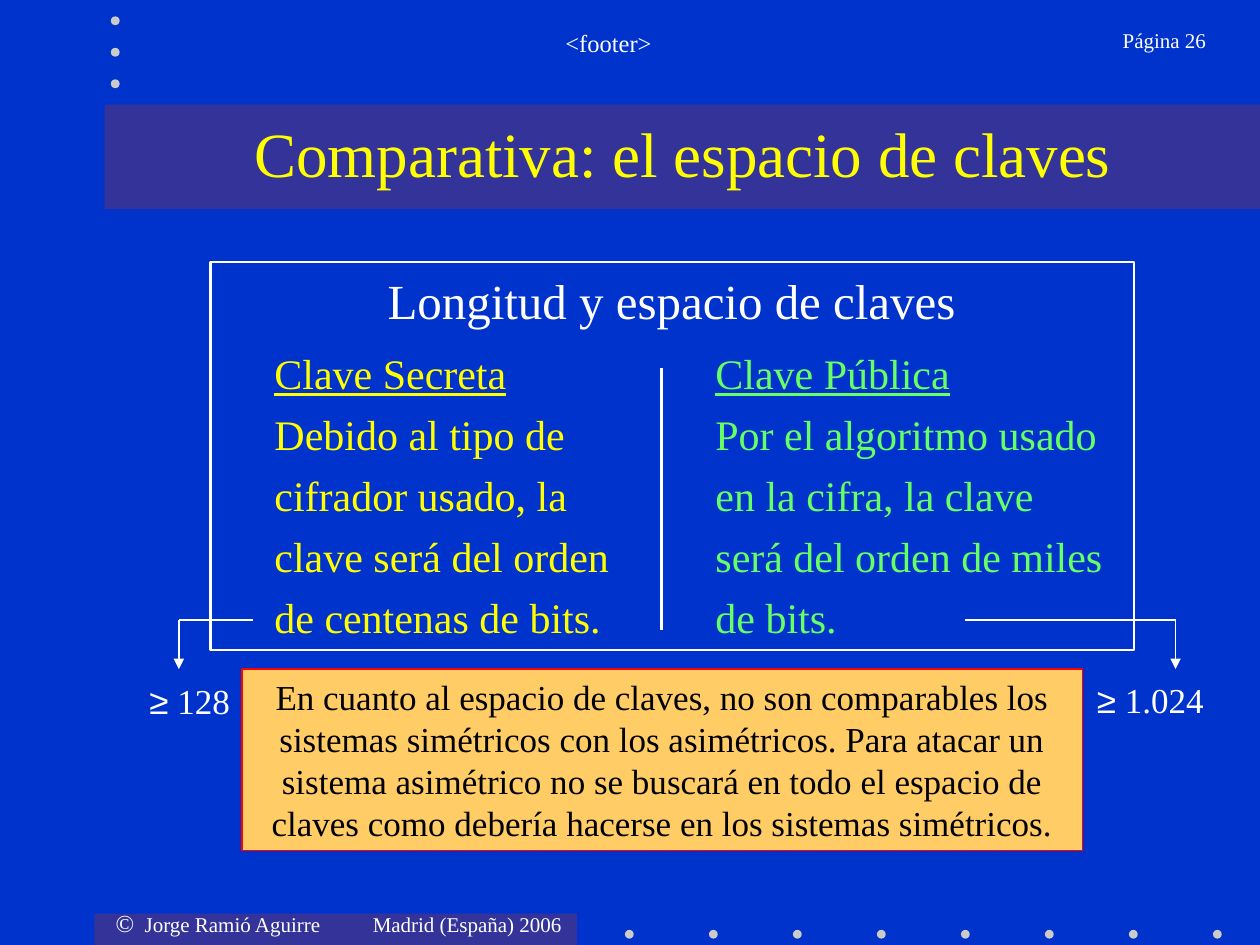
from lxml import etree
from pptx import Presentation
from pptx.dml.color import RGBColor
from pptx.enum.shapes import MSO_CONNECTOR, MSO_SHAPE
from pptx.enum.text import MSO_ANCHOR, PP_ALIGN
from pptx.oxml.ns import qn
from pptx.util import Inches, Pt

RECT, OVAL = MSO_SHAPE.RECTANGLE, MSO_SHAPE.OVAL
LEFT, CENTER, RIGHT = PP_ALIGN.LEFT, PP_ALIGN.CENTER, PP_ALIGN.RIGHT
TOP, MIDDLE = MSO_ANCHOR.TOP, MSO_ANCHOR.MIDDLE
STRAIGHT = MSO_CONNECTOR.STRAIGHT
SERIF, SANS = "Times New Roman", "Arial"

COLORS = {
    "background": "0033CC", "band": "333399", "dot": "CBCBCB",
    "white": "FFFFFF", "black": "000000", "yellow": "FFFF00",
    "green": "66FF66", "note": "FFCC66", "red": "FF0000",
}

TITLE = "Comparativa: el espacio de claves"
HEADING = "Longitud y espacio de claves"
FOOTER = "<footer>"
PAGE = "Página 26"
CREDIT = [("©", 14), ("\tJorge Ramió Aguirre\tMadrid (España) 2006", 12)]
CREDIT_TABS = (0.23, 2.04)
NOTE = ("En cuanto al espacio de claves, no son comparables los sistemas "
        "simétricos con los asimétricos. Para atacar un sistema asimétrico no "
        "se buscará en todo el espacio de claves como debería hacerse en los "
        "sistemas simétricos.")
COLUMNS = [  # left, width, colour, lines (the first is underlined)
    (2.08, 3.1, "yellow", ["Clave Secreta", "Debido al tipo de",
                           "cifrador usado, la", "clave será del orden",
                           "de centenas de bits."]),
    (5.58, 3.4, "green", ["Clave Pública", "Por el algoritmo usado",
                          "en la cifra, la clave", "será del orden de miles",
                          "de bits."]),
]
LIMITS = [  # number, text box, inner end and corner of the arrow
    (" 128", (1.05, 5.34, 0.91, 0.44), 2.01, 1.42),
    (" 1.024", (8.59, 5.17, 1.08, 0.77), 7.66, 9.33),
]
BANDS = [(0.75, 7.25, 3.83, 0.25), (0.83, 0.83, 9.17, 0.83)]
DOT = 0.07
DOTS = ([(4.96 + i * 2 / 3, 7.38) for i in range(8)]
        + [(0.88, 0.13 + i * 0.25) for i in range(3)])
ARROW_TOP, ARROW_END = 4.92, 5.31


def rgb(name):
    return RGBColor.from_string(COLORS[name])


def add_shape(slide, kind, box, fill=None, line=None, width=1):
    sp = slide.shapes.add_shape(kind, *map(Inches, box))
    sp.shadow.inherit = False
    if fill:
        sp.fill.solid()
        sp.fill.fore_color.rgb = rgb(fill)
    else:
        sp.fill.background()
    if line:
        sp.line.color.rgb = rgb(line)
        sp.line.width = Pt(width)
    else:
        sp.line.fill.background()
    return sp


def add_line(slide, start, end, width, arrow=False):
    ln = slide.shapes.add_connector(STRAIGHT, *map(Inches, start + end))
    ln.line.color.rgb = rgb("white")
    ln.line.width = Pt(width)
    if arrow:
        etree.SubElement(ln.line._get_or_add_ln(), qn("a:tailEnd"), type="triangle")
    etree.SubElement(ln._element.spPr, qn("a:effectLst"))


def add_run(p, text, size, color="white", font=SERIF, underline=False):
    r = p.add_run()
    r.text = text
    r.font.color.rgb = rgb(color)
    formats = {"size": Pt(size), "name": font, "underline": underline}
    for name, value in formats.items():
        setattr(r.font, name, value)


def set_frame(sp, align=LEFT, anchor=TOP, wrap=True):
    """Format the text frame and return its first paragraph."""
    tf = sp.text_frame
    formats = {"word_wrap": wrap, "vertical_anchor": anchor,
               "margin_left": Inches(0.1), "margin_right": Inches(0.1),
               "margin_top": Inches(0.05), "margin_bottom": Inches(0.05)}
    for name, value in formats.items():
        setattr(tf, name, value)
    tf.paragraphs[0].alignment = align
    return tf.paragraphs[0]


def add_text(slide, box, runs, **frame):
    sp = slide.shapes.add_textbox(*map(Inches, box))
    p = set_frame(sp, **frame)
    for run in runs:
        add_run(p, *run)
    return sp


def set_tabs(p, stops):
    tabs = etree.SubElement(p._p.get_or_add_pPr(), qn("a:tabLst"))
    for stop in stops:
        etree.SubElement(tabs, qn("a:tab"), pos=str(Inches(stop)), algn="l")


def main():
    prs = Presentation()
    prs.slide_width, prs.slide_height = Inches(10), Inches(7.5)
    slide = prs.slides.add_slide(prs.slide_layouts[6])
    slide.background.fill.solid()
    slide.background.fill.fore_color.rgb = rgb("background")

    for box in BANDS:
        add_shape(slide, RECT, box, "band")
    for x, y in DOTS:
        add_shape(slide, OVAL, (x, y, DOT, DOT), "dot")

    credit = add_text(slide, (0.82, 7.16, 3.85, 0.34), CREDIT)
    set_tabs(credit.text_frame.paragraphs[0], CREDIT_TABS)
    add_text(slide, (1.58, 0.17, 6.5, 0.5), [(FOOTER, 14)], align=CENTER)
    add_text(slide, (8.3, 0.17, 1.37, 0.5), [(PAGE, 12)], align=RIGHT)
    add_text(slide, (1.17, 0.83, 8.5, 0.75), [(TITLE, 36, "yellow")],
             align=CENTER, anchor=MIDDLE)

    add_shape(slide, RECT, (1.67, 2.08, 7.33, 3.08), line="white", width=1.5)
    add_text(slide, (1.08, 2.1, 8.5, 0.55), [(HEADING, 28)], align=CENTER)
    for left, width, color, lines in COLUMNS:
        sp = add_text(slide, (left, 2.71, width, 2.45),
                      [(lines[0], 24, color, SERIF, True)])
        for text in lines[1:]:
            p = sp.text_frame.add_paragraph()
            p.space_before = Pt(6)
            add_run(p, text, 24, color)
    add_line(slide, (5.25, 2.92), (5.25, 5), 1.5)

    note = add_shape(slide, RECT, (1.92, 5.31, 6.67, 1.44), "note", "red", 0.75)
    add_run(set_frame(note, CENTER, MIDDLE), NOTE, 20, "black")

    for number, box, inner, corner in LIMITS:
        add_text(slide, box, [("≥", 20, "white", SANS), (number, 20)],
                 align=CENTER, anchor=MIDDLE, wrap=False)
        add_line(slide, (inner, ARROW_TOP), (corner, ARROW_TOP), 1)
        add_line(slide, (corner, ARROW_TOP), (corner, ARROW_END), 1, arrow=True)

    prs.save("out.pptx")


if __name__ == "__main__":
    main()
